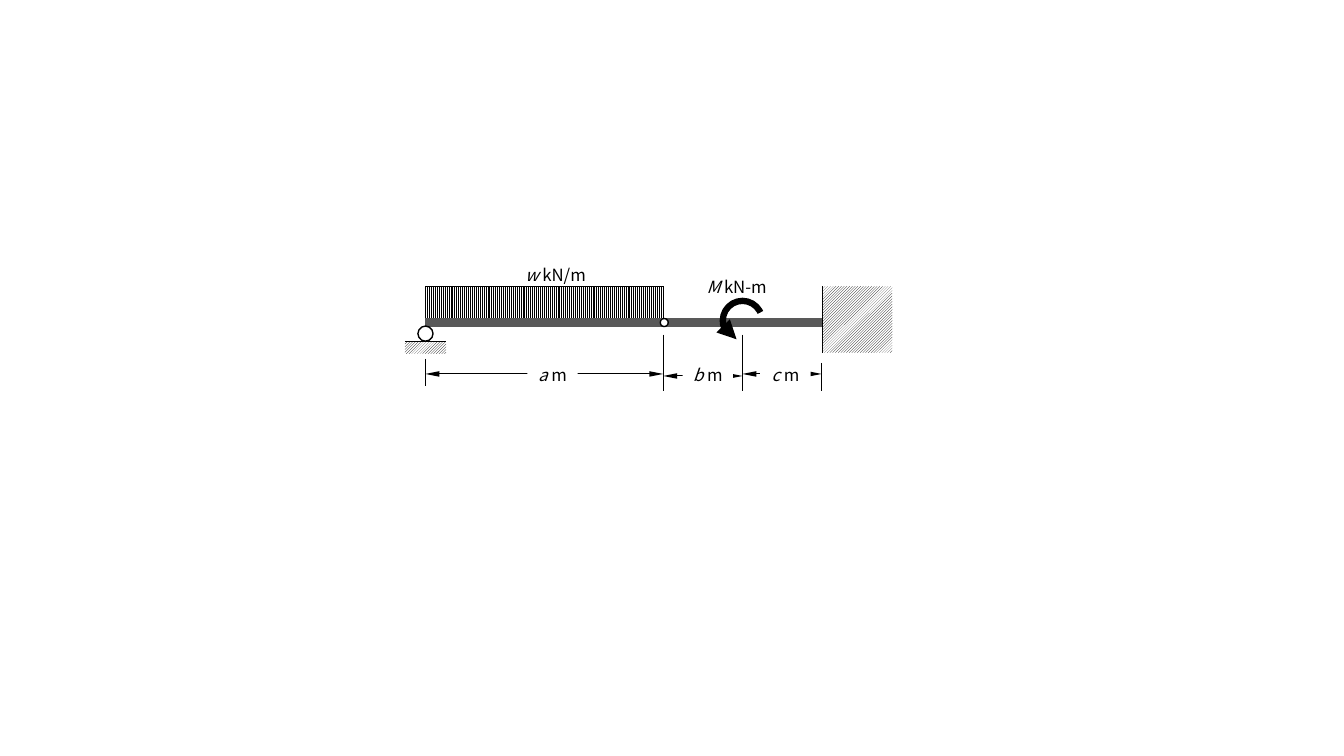
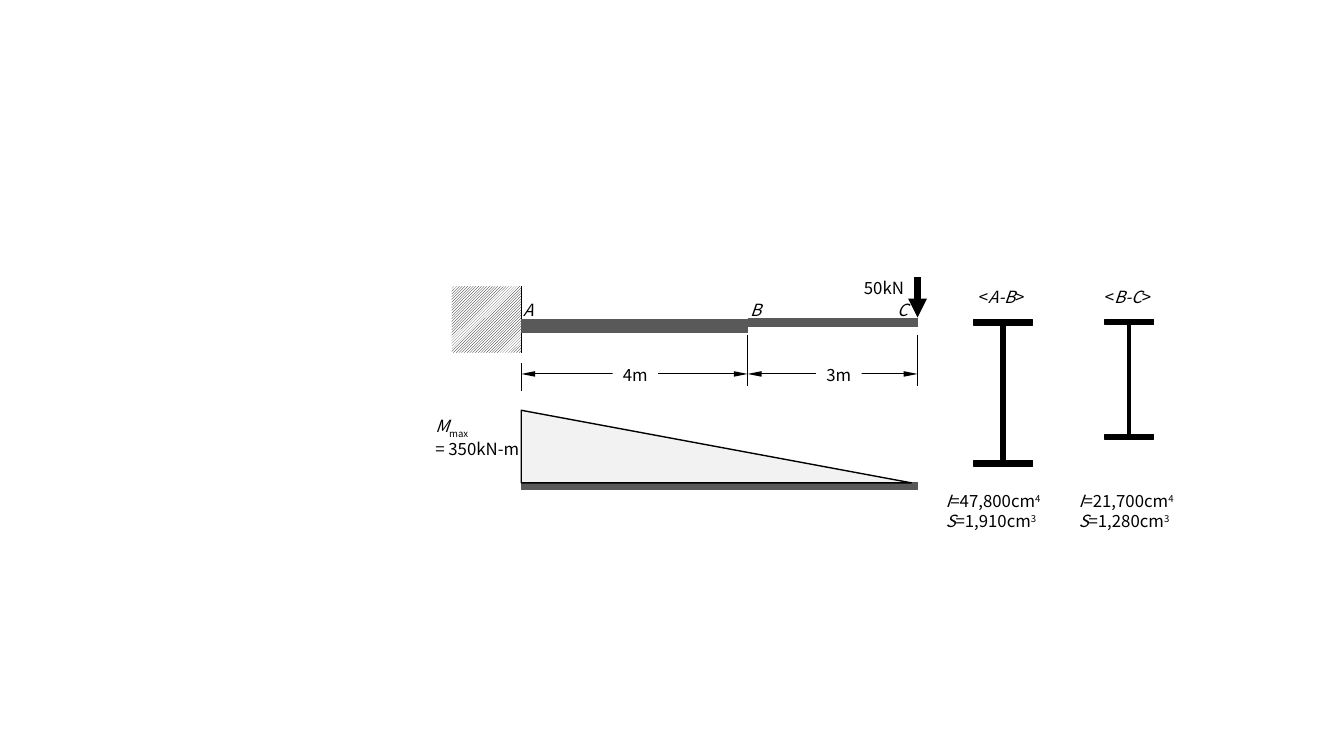
from dataclasses import dataclass

from pptx import Presentation
from pptx.dml.color import RGBColor
from pptx.enum.dml import MSO_PATTERN as PATTERN
from pptx.enum.shapes import MSO_CONNECTOR as CONNECTOR, MSO_SHAPE as SHAPE
from pptx.enum.text import MSO_ANCHOR as ANCHOR, MSO_AUTO_SIZE as AUTO_SIZE, PP_ALIGN as ALIGN
from pptx.oxml.xmlchemy import OxmlElement
from pptx.util import Inches, Pt


@dataclass(frozen=True)
class Theme:
    """Colours, type and line widths shared by the slides."""
    ink: RGBColor = RGBColor(0x00, 0x00, 0x00)
    paper: RGBColor = RGBColor(0xFF, 0xFF, 0xFF)
    steel: RGBColor = RGBColor(0x59, 0x59, 0x59)
    pale: RGBColor = RGBColor(0xF2, 0xF2, 0xF2)
    font: str = "Noto Sans CJK KR"
    size: float = 12
    thin: float = 0.75
    outline: float = 1
    beam: float = 6
    deep_beam: float = 10
    bold: float = 4.5


T = Theme()
SPAN = 3.93
AXIS = 3.2
DIM_ROW = 3.71
DIM_LABEL_ROW = 3.57
LABEL_HEIGHT = 0.3
WALL_TOP, WALL_WIDTH, WALL_HEIGHT = 2.84, 0.69, 0.66
BASELINES = {"sub": "-25000", "sup": "30000"}


def along(left, share):
    """Return the x position at a share of the beam's span."""
    return left + SPAN * share


def add_arrowhead(ln, end, width="med", length="med"):
    """Add a triangle to one end of a line."""
    head = OxmlElement(f"a:{end}")
    for key, value in (("type", "triangle"), ("w", width), ("len", length)):
        head.set(key, value)
    ln.append(head)


def add_line(shapes, x1, y1, x2, y2, width=T.thin, color=T.ink):
    """Draw a straight line without a shadow."""
    sp = shapes.add_connector(CONNECTOR.STRAIGHT, *map(Inches, (x1, y1, x2, y2)))
    sp.line.color.rgb = color
    sp.line.width = Pt(width)
    sp._element.spPr.append(OxmlElement("a:effectLst"))
    return sp


def add_shape(shapes, kind, x, y, w, h, fill=None, line=None):
    """Draw a preset shape with a plain or patterned fill and an optional line."""
    sp = shapes.add_shape(kind, *map(Inches, (x, y, w, h)))
    sp.shadow.inherit = False
    if fill is None:
        sp.fill.background()
    elif isinstance(fill, RGBColor):
        sp.fill.solid()
        sp.fill.fore_color.rgb = fill
    else:
        sp.fill.patterned()
        sp.fill.pattern = fill
        sp.fill.fore_color.rgb = T.ink
        sp.fill.back_color.rgb = T.paper
    if line is None:
        sp.line.fill.background()
    else:
        sp.line.color.rgb = T.ink
        sp.line.width = Pt(line)
    return sp


def write(sp, paragraphs, align=ALIGN.LEFT):
    """Fill a shape with paragraphs made of (text, style) runs."""
    tf = sp.text_frame
    tf.word_wrap = False
    tf.auto_size = AUTO_SIZE.SHAPE_TO_FIT_TEXT
    for i, runs in enumerate(paragraphs):
        p = tf.add_paragraph() if i else tf.paragraphs[0]
        p.alignment = align
        for text, style in runs:
            r = p.add_run()
            r.text = text
            r.font.name = T.font
            r.font.size = Pt(T.size)
            r.font.color.rgb = T.ink
            r.font.italic = style == "i"
            if style in BASELINES:
                r.font._element.set("baseline", BASELINES[style])


def add_label(shapes, x, y, w, *paragraphs):
    """Place a free label whose height follows its paragraphs."""
    h = LABEL_HEIGHT + 0.2 * (len(paragraphs) - 1)
    write(shapes.add_textbox(*map(Inches, (x, y, w, h))), paragraphs)


def add_dimension(shapes, x1, x2, center, w, runs, y=DIM_ROW):
    """Draw a double-headed dimension with its label on a white patch."""
    ln = add_line(shapes, x1, y, x2, y).line._get_or_add_ln()
    for end in ("headEnd", "tailEnd"):
        add_arrowhead(ln, end, "sm", "lg")
    patch = add_shape(shapes, SHAPE.RECTANGLE, center - w / 2, DIM_LABEL_ROW,
                      w, LABEL_HEIGHT, T.paper)
    patch.text_frame.vertical_anchor = ANCHOR.MIDDLE
    write(patch, [runs], ALIGN.CENTER)


def add_ticks(shapes, ticks):
    """Draw the vertical extension lines given as (x, top, bottom)."""
    for x, top, bottom in ticks:
        add_line(shapes, x, top, x, bottom)


def add_wall(shapes, x, face):
    """Draw a hatched wall whose face stands at the given x."""
    group = shapes.add_group_shape().shapes
    add_shape(group, SHAPE.RECTANGLE, x, WALL_TOP, WALL_WIDTH, WALL_HEIGHT,
              PATTERN.LIGHT_UPWARD_DIAGONAL)
    add_line(group, face, WALL_TOP, face, WALL_TOP + WALL_HEIGHT)


def add_circle(shapes, x, y, d):
    """Draw a white circle around a centre."""
    add_shape(shapes, SHAPE.OVAL, x - d / 2, y - d / 2, d, d, T.paper, T.outline)


def add_roller(shapes, x):
    """Draw a roller on hatched ground under the beam."""
    w, ground = 0.41, 3.39
    add_circle(shapes, x, 3.31, 0.15)
    group = shapes.add_group_shape().shapes
    add_shape(group, SHAPE.RECTANGLE, x - w / 2, ground, w, 0.12,
              PATTERN.LIGHT_UPWARD_DIAGONAL)
    add_line(group, x - w / 2, ground, x + w / 2, ground)


def add_moment(shapes, x, y, d):
    """Draw a counter-clockwise moment arrow around a centre."""
    arc = add_shape(shapes, SHAPE.ARC, x - d / 2, y - d / 2, d, d, line=T.bold)
    for i, degrees in enumerate((107.65, 335.67)):
        arc.adjustments[i] = degrees * 0.6
    add_arrowhead(arc.line._get_or_add_ln(), "headEnd")


def add_section(shapes, center, height, flange, thickness, web):
    """Draw an I-section hanging from the top of the beam row."""
    top = 3.17
    group = shapes.add_group_shape().shapes
    for w, y, h in ((web, top, height), (flange, top, thickness),
                    (flange, top + height - thickness, thickness)):
        add_shape(group, SHAPE.RECTANGLE, center - w / 2, y, w, h, T.ink, T.outline)


def build_hinged_beam(sl):
    """Build the beam with a hinge, a distributed load and a moment."""
    shapes = sl.shapes
    roller, hinge, moment, wall = (along(4.22, s) for s in (0, 0.6, 0.8, 1))
    add_shape(shapes, SHAPE.RECTANGLE, roller, WALL_TOP, hinge - roller, 0.33,
              PATTERN.LIGHT_VERTICAL, T.thin)
    add_line(shapes, roller, AXIS, wall, AXIS, T.beam, T.steel)
    add_circle(shapes, hinge + 0.01, AXIS, 0.08)
    add_roller(shapes, roller)
    add_wall(shapes, wall + 0.01, wall + 0.01)
    for x1, x2, center, name, y in ((roller, hinge, 5.48, "a", DIM_ROW),
                                    (hinge, moment, 7.02, "b", DIM_ROW + 0.02),
                                    (moment, wall, 7.79, "c", DIM_ROW)):
        add_dimension(shapes, x1, x2, center, 0.5, [(name, "i"), (" m", "")], y)
    add_ticks(shapes, ((roller, 3.56, 3.83), (hinge, 3.32, 3.88),
                       (moment, 3.32, 3.88), (wall, 3.6, 3.88)))
    add_label(shapes, 5.11, 2.58, 0.84, [("w ", "i"), ("kN/m", "")])
    add_moment(shapes, moment, 3.18, 0.39)
    add_label(shapes, 6.91, 2.7, 0.86, [("M ", "i"), ("kN-m", "")])


def build_stepped_cantilever(sl):
    """Build the stepped cantilever with its moment diagram and sections."""
    shapes = sl.shapes
    wall, step, tip = (along(5.17, s) for s in (0, 4 / 7, 1))
    add_line(shapes, step, AXIS, tip, AXIS, T.beam, T.steel)
    add_wall(shapes, wall - WALL_WIDTH, wall)
    add_dimension(shapes, wall, step, 6.3, 0.45, [("4m", "")])
    add_dimension(shapes, step, tip, 8.32, 0.45, [("3m", "")])
    add_ticks(shapes, ((wall, 3.6, 3.88), (step, 3.32, 3.83), (tip, 3.32, 3.83)))
    add_line(shapes, wall, AXIS + 0.03, step, AXIS + 0.03, T.deep_beam, T.steel)

    add_label(shapes, 8.47, 2.71, 0.62, [("50kN", "")])
    force = add_line(shapes, tip, 2.75, tip, 3.15, T.bold)
    add_arrowhead(force.line._get_or_add_ln(), "tailEnd")
    for x, name in ((5.09, "A"), (7.34, "B"), (8.8, "C")):
        add_label(shapes, x, 2.92, 0.32, [(name, "i")])

    add_line(shapes, wall, 4.82, tip, 4.82, T.beam, T.steel)
    add_shape(shapes, SHAPE.RIGHT_TRIANGLE, wall, 4.07, 3.87, 0.72, T.pale, T.outline)
    add_label(shapes, 4.22, 4.08, 1.1, [("M", "i"), ("max", "sub")], [("= 350kN-m", "")])

    for center, name, inertia, modulus, size in (
            (9.95, "A-B", "47,800", "1,910", (1.46, 0.58, 0.06, 0.04)),
            (11.2, "B-C", "21,700", "1,280", (1.19, 0.48, 0.05, 0.03))):
        add_label(shapes, center - 0.34, 2.8, 0.67, [("<", ""), (name, "i"), (">", "")])
        add_section(shapes, center, *size)
    for x, inertia, modulus in ((9.28, "47,800", "1,910"), (10.6, "21,700", "1,280")):
        add_label(shapes, x, 4.82, 1.23,
                  [("I", "i"), (f"={inertia}cm", ""), ("4", "sup")],
                  [("S", "i"), (f"={modulus}cm", ""), ("3", "sup")])


def main():
    """Build both slides and save the presentation."""
    prs = Presentation()
    prs.slide_width, prs.slide_height = Inches(13.33), Inches(7.5)
    blank = prs.slide_layouts.get_by_name("Blank")
    for build in (build_hinged_beam, build_stepped_cantilever):
        build(prs.slides.add_slide(blank))
    prs.save("out.pptx")


if __name__ == "__main__":
    main()
